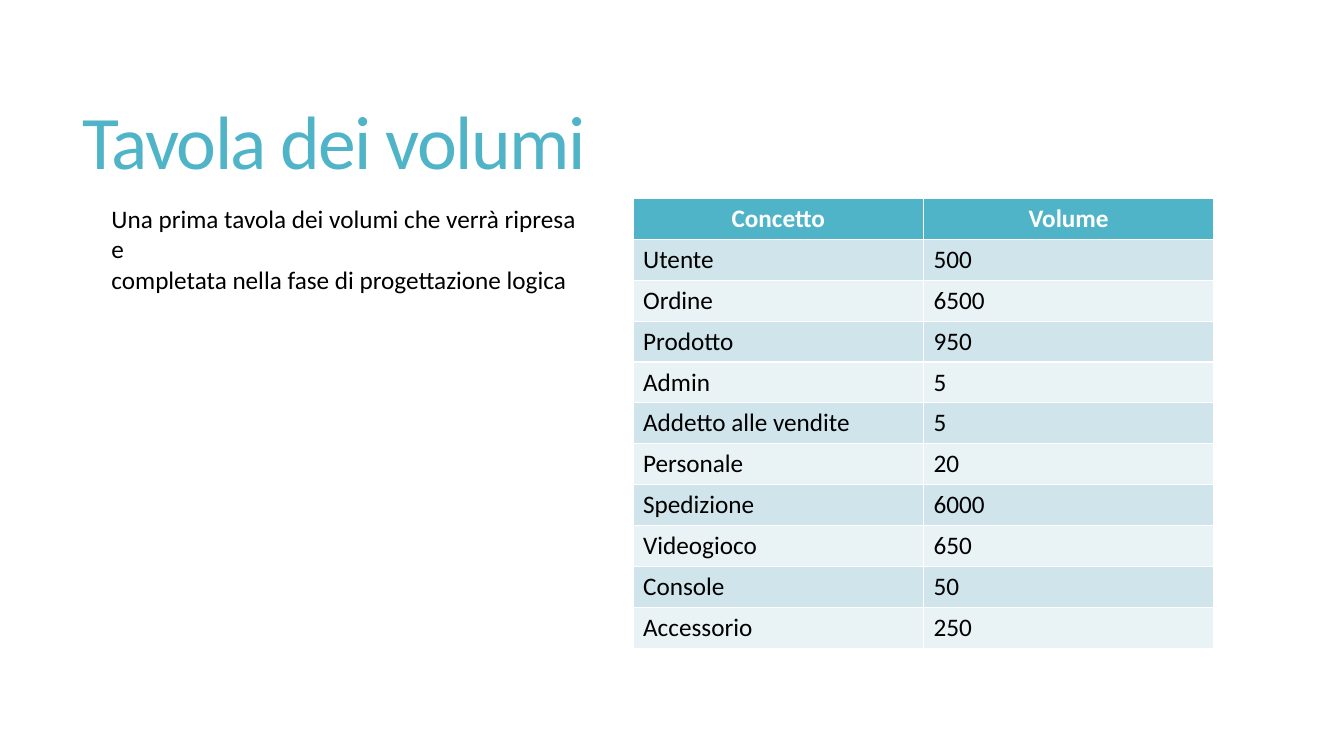
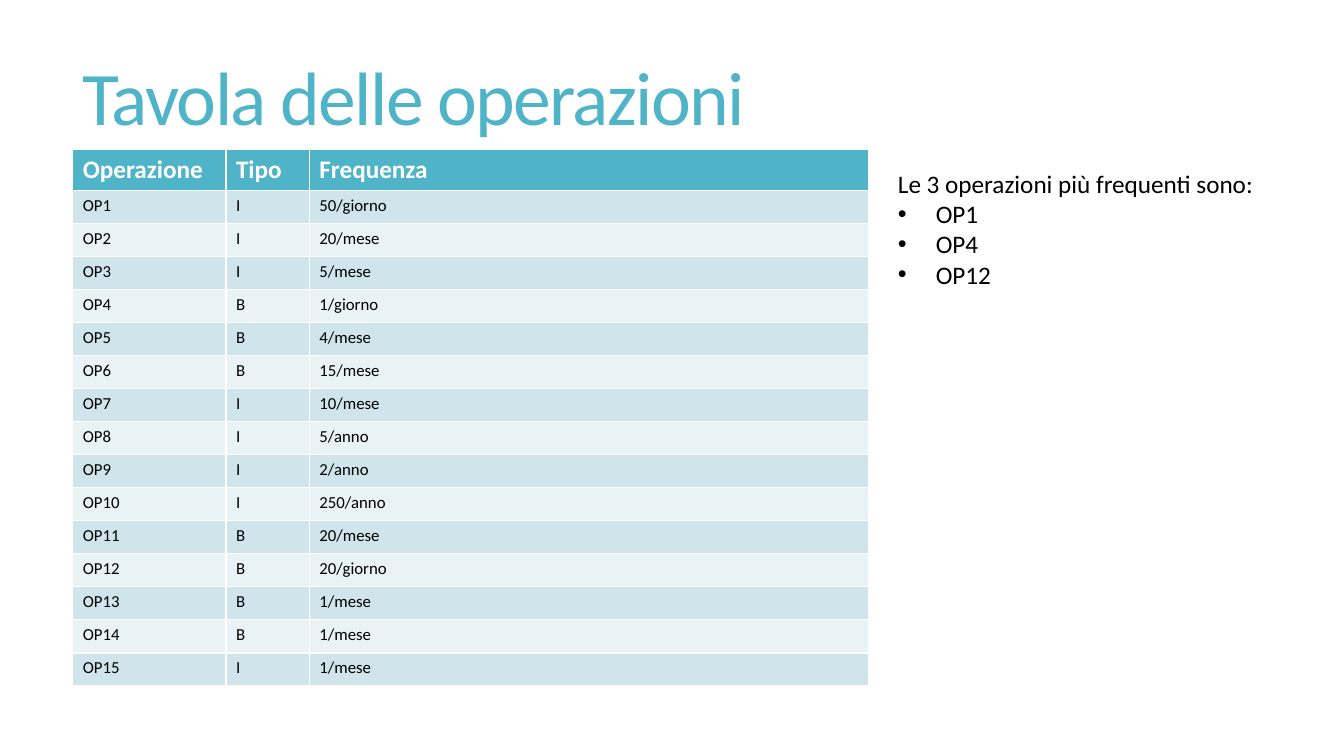
"""Builds two slides with the volume table and the operation table of a database design."""
from lxml import etree
from pptx import Presentation
from pptx import util as u
from pptx.dml.color import RGBColor
from pptx.enum import text
from pptx.oxml.ns import qn

TEAL, BAND_DARK, BAND_LIGHT = "50B4C8", "D0E5EB", "E9F2F5"
WHITE, BLACK = "FFFFFF", "000000"
BODY = {"name": "Calibri", "size": u.Pt(18), "bold": False}
HEADER_HEIGHT = 29.2

slides = [
    {
        "title": "Tavola dei volumi",
        "title_height": 130.3,
        "table_at": (452.2, 141.8),
        "columns": [207.4, 207.4],
        "row_height": 29.2,
        "cell_size": 18,
        "header_align": text.PP_ALIGN.CENTER,
        "rows": [
            ("Concetto", "Volume"),
            ("Utente", "500"),
            ("Ordine", "6500"),
            ("Prodotto", "950"),
            ("Admin", "5"),
            ("Addetto alle vendite", "5"),
            ("Personale", "20"),
            ("Spedizione", "6000"),
            ("Videogioco", "650"),
            ("Console", "50"),
            ("Accessorio", "250"),
        ],
        "note_at": (72.5, 141.8, 358.6, 51),
        "note_wrap": False,
        "note": [
            "Una prima tavola dei volumi che verrà ripresa e",
            "completata nella fase di progettazione logica",
        ],
        "bullets": [],
    },
    {
        "title": "Tavola delle operazioni",
        "title_height": 67.5,
        "table_at": (52, 106.6),
        "columns": [109.4, 59.6, 399.6],
        "row_height": 23.64,
        "cell_size": 12,
        "header_align": text.PP_ALIGN.LEFT,
        "rows": [
            ("Operazione", "Tipo", "Frequenza"),
            ("OP1", "I", "50/giorno"),
            ("OP2", "I", "20/mese"),
            ("OP3", "I", "5/mese"),
            ("OP4", "B", "1/giorno"),
            ("OP5", "B", "4/mese"),
            ("OP6", "B", "15/mese"),
            ("OP7", "I", "10/mese"),
            ("OP8", "I", "5/anno"),
            ("OP9", "I", "2/anno"),
            ("OP10", "I", "250/anno"),
            ("OP11", "B", "20/mese"),
            ("OP12", "B", "20/giorno"),
            ("OP13", "B", "1/mese"),
            ("OP14", "B", "1/mese"),
            ("OP15", "I", "1/mese"),
        ],
        "note_at": (634.3, 116.6, 282.2, 94.3),
        "note_wrap": True,
        "note": ["Le 3 operazioni più frequenti sono:"],
        "bullets": ["OP1", "OP4", "OP12"],
    },
]


def paint(target, color):
    """Give a fill or a font a solid colour from a hex string."""
    if hasattr(target, "solid"):
        target.solid()
        target.fore_color.rgb = RGBColor.from_string(color)
    else:
        target.color.rgb = RGBColor.from_string(color)


def write(para, words, color, **changes):
    """Add one formatted span to a paragraph and return it."""
    span = para.add_run()
    span.text = words
    for name, value in (BODY | changes).items():
        setattr(span.font, name, value)
    paint(span.font, color)
    return span


deck = Presentation()
deck.slide_width, deck.slide_height = u.Pt(960), u.Pt(540)

for content in slides:
    page = deck.slides.add_slide(deck.slide_layouts[6])

    title_box = page.shapes.add_textbox(
        u.Pt(52), u.Pt(39.6), u.Pt(848), u.Pt(content["title_height"]))
    frame = title_box.text_frame
    frame.word_wrap = True
    frame.vertical_anchor = text.MSO_ANCHOR.MIDDLE
    para = frame.paragraphs[0]
    para.line_spacing = 0.85
    span = write(para, content["title"], TEAL, size=u.Pt(54))
    span.font._element.set("spc", "-120")

    rows, columns = content["rows"], content["columns"]
    heights = [HEADER_HEIGHT] + [content["row_height"]] * (len(rows) - 1)
    left, top = content["table_at"]
    table = page.shapes.add_table(
        len(rows), len(columns), u.Pt(left), u.Pt(top),
        u.Pt(sum(columns)), u.Pt(sum(heights))).table
    for column, width in zip(table.columns, columns):
        column.width = u.Pt(width)
    for index, (values, height) in enumerate(zip(rows, heights)):
        table.rows[index].height = u.Pt(height)
        header = index == 0
        band = TEAL if header else BAND_DARK if index % 2 else BAND_LIGHT
        for cell, value in zip(table.rows[index].cells, values):
            paint(cell.fill, band)
            para = cell.text_frame.paragraphs[0]
            if header:
                para.alignment = content["header_align"]
                write(para, value, WHITE, bold=True)
            else:
                write(para, value, BLACK, size=u.Pt(content["cell_size"]))

    note_box = page.shapes.add_textbox(*map(u.Pt, content["note_at"]))
    frame = note_box.text_frame
    frame.word_wrap = content["note_wrap"]
    frame.auto_size = text.MSO_AUTO_SIZE.SHAPE_TO_FIT_TEXT
    lines = content["note"] + content["bullets"]
    for index, line in enumerate(lines):
        para = frame.add_paragraph() if index else frame.paragraphs[0]
        write(para, line, BLACK)
        if index >= len(content["note"]):
            properties = para._p.get_or_add_pPr()
            properties.set("marL", str(u.Pt(27)))
            properties.set("indent", str(-u.Pt(27)))
            etree.SubElement(properties, qn("a:buFont"), typeface="Arial")
            etree.SubElement(properties, qn("a:buChar"), char="•")

deck.save("out.pptx")
